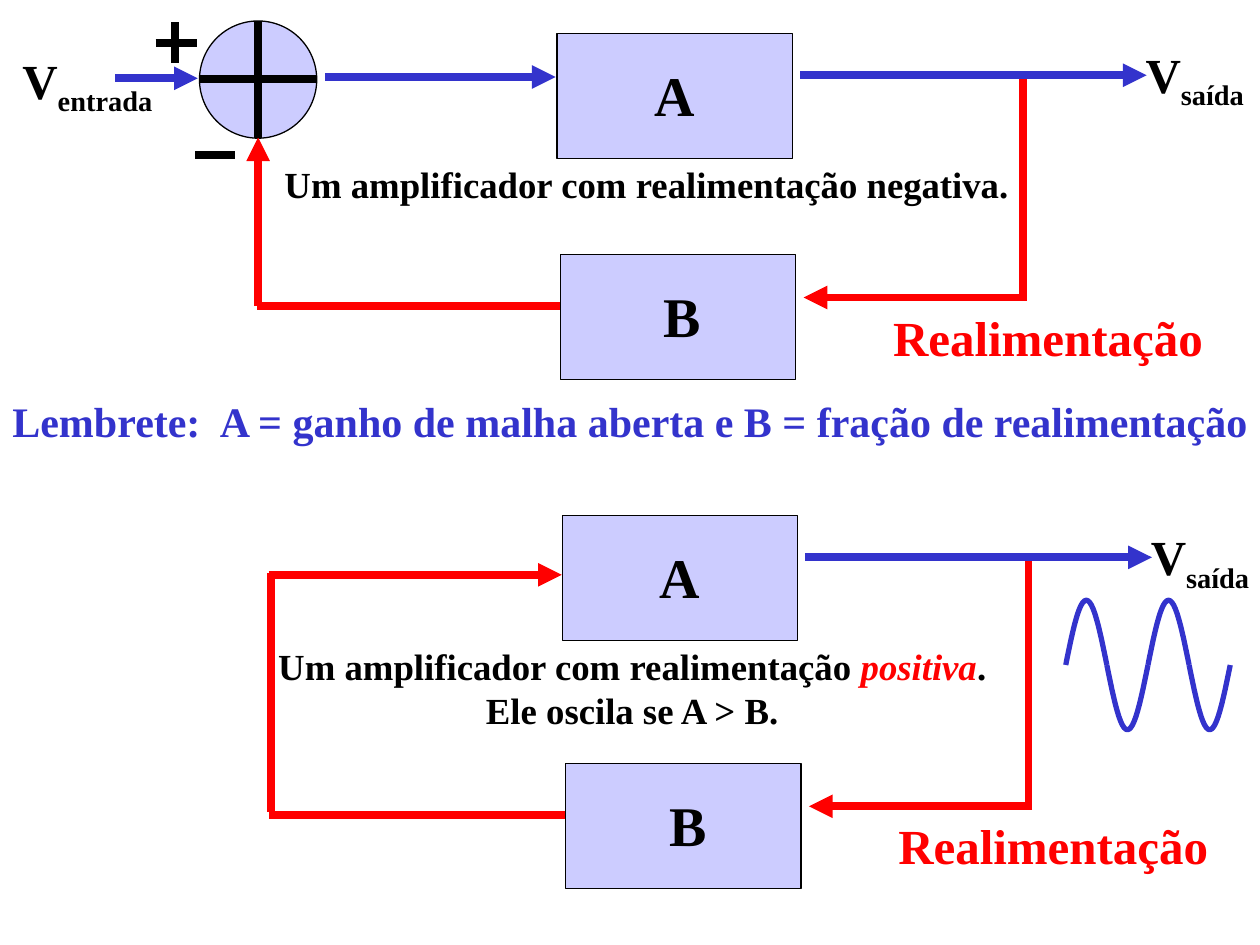
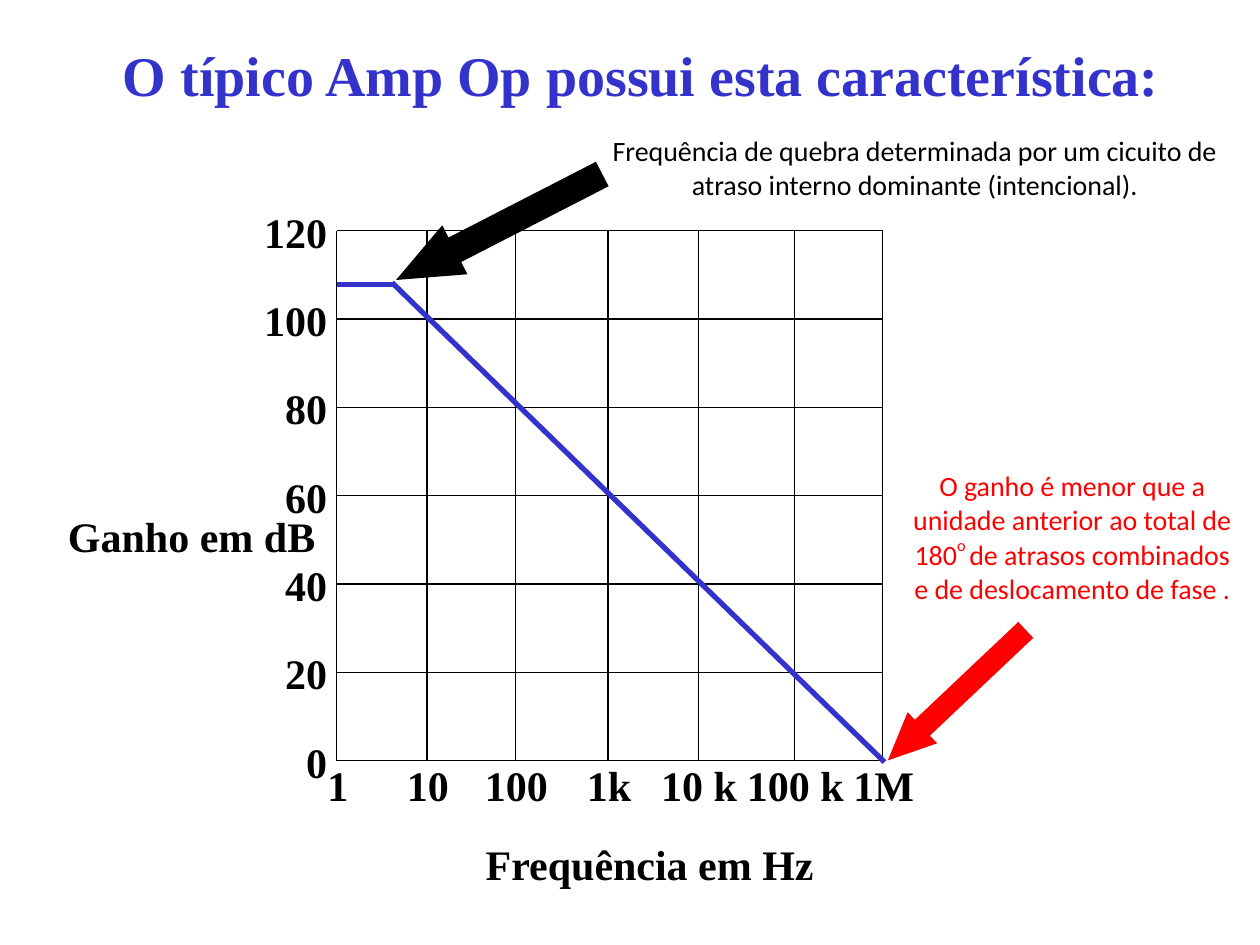
import math

from lxml import etree
from pptx import Presentation
from pptx import util as u
from pptx.dml import color as dml
from pptx.enum import shapes, text
from pptx.oxml import ns

BLACK, RED, BLUE, LILAC = "000000", "FF0000", "3333CC", "CCCCFF"
SERIF, SANS = "Times New Roman", "Calibri"
LEFT, CENTER, RIGHT = text.PP_ALIGN.LEFT, text.PP_ALIGN.CENTER, text.PP_ALIGN.RIGHT
THICK = 4.5
BLOCK_W, BLOCK_H = 134.5, 71.5


def rgb(value):
    return dml.RGBColor.from_string(value)


def write(tf, paragraphs, size=24, color=BLACK, font=SERIF, bold=True,
          align=LEFT, wrap=False, tab=None):
    """Fill a frame; each paragraph lists strings or (string, overrides) pairs."""
    if isinstance(paragraphs, str):
        paragraphs = [[paragraphs]]
    tf.word_wrap = wrap
    tf.vertical_anchor = text.MSO_ANCHOR.TOP
    for i, runs in enumerate(paragraphs):
        p = tf.paragraphs[0] if i == 0 else tf.add_paragraph()
        p.alignment = align
        if tab:
            stops = etree.SubElement(p._p.get_or_add_pPr(), ns.qn("a:tabLst"))
            etree.SubElement(stops, ns.qn("a:tab"), pos=str(u.Pt(tab)), algn="l")
        for run in runs:
            content, extra = (run, {}) if isinstance(run, str) else run
            r = p.add_run()
            r.text = content
            r.font.name, r.font.size, r.font.bold = font, u.Pt(size), bold
            r.font.italic = extra.get("italic", False)
            r.font.color.rgb = rgb(extra.get("color", color))
            if "baseline" in extra:
                r._r.get_or_add_rPr().set("baseline", str(extra["baseline"] * 1000))


def label(s, x, y, w, h, paragraphs, **fmt):
    sp = s.shapes.add_textbox(u.Pt(x), u.Pt(y), u.Pt(w), u.Pt(h))
    write(sp.text_frame, paragraphs, **fmt)
    sp.text_frame.auto_size = text.MSO_AUTO_SIZE.SHAPE_TO_FIT_TEXT


def line(s, x1, y1, x2, y2, color=BLACK, width=THICK, arrow=False):
    c = s.shapes.add_connector(shapes.MSO_CONNECTOR.STRAIGHT,
                               u.Pt(x1), u.Pt(y1), u.Pt(x2), u.Pt(y2))
    c.line.color.rgb = rgb(color)
    c.line.width = u.Pt(width)
    if arrow:
        etree.SubElement(c.line._get_or_add_ln(), ns.qn("a:tailEnd"), type="triangle")
    etree.SubElement(c._element.spPr, ns.qn("a:effectLst"))


def shape(s, kind, x, y, w, h, fill, outline=None):
    sp = s.shapes.add_shape(kind, u.Pt(x), u.Pt(y), u.Pt(w), u.Pt(h))
    sp.shadow.inherit = False
    sp.fill.solid()
    sp.fill.fore_color.rgb = rgb(fill)
    if outline:
        sp.line.color.rgb = rgb(outline)
        sp.line.width = u.Pt(0.75)
    else:
        sp.line.fill.background()
    return sp


def block(s, x, y, name, name_x, name_w):
    shape(s, shapes.MSO_SHAPE.RECTANGLE, x, y, BLOCK_W, BLOCK_H, LILAC, BLACK)
    label(s, x + name_x, y + 12, name_w, 46, name, size=32)


def block_arrow(s, x, y, w, h, rotation, adjustments, fill):
    sp = shape(s, shapes.MSO_SHAPE.LEFT_ARROW, x, y, w, h, fill)
    sp.rotation = rotation
    for i, value in enumerate(adjustments):
        sp.adjustments[i] = value


def voltage(s, x, y, w, subscript):
    label(s, x, y, w, 45.5, [["V", (subscript, {"baseline": -25})]], size=28)


def feedback_loop(s, x, a_top, b_top):
    """Gain block A, feedback block B, the output and the path from output to B."""
    tap, out_y, back_y = x + 266.5, a_top + 24, b_top + 24.5
    line(s, tap, back_y + 2, tap, out_y, RED)
    block(s, x, a_top, "A", 48.5, 37.5)
    block(s, x + 2, b_top, "B", 52, 35.5)
    line(s, x + 139, out_y, x + 337, out_y, BLUE, arrow=True)
    line(s, tap + 2, back_y, x + 141, back_y, RED, arrow=True)
    voltage(s, x + 329.25, a_top + 3, 70.5, "saída")
    label(s, x + 185, b_top + 26.5, 191.5, 41, "Realimentação", size=28, color=RED)


def half_wave(s, x, y, width, height, steps=24):
    """Half a sine from (x, y); a negative height points down."""
    points = [(u.Pt(x + width * i / steps),
               u.Pt(y - height * math.sin(math.pi * i / steps)))
              for i in range(steps + 1)]
    builder = s.shapes.build_freeform(*points[0])
    builder.add_line_segments(points[1:], close=False)
    sp = builder.convert_to_shape()
    sp.shadow.inherit = False
    sp.fill.background()
    sp.line.color.rgb = rgb(BLUE)
    sp.line.width = u.Pt(3)


def feedback_slide(prs):
    s = prs.slides.add_slide(prs.slide_layouts[6])

    # Negative feedback, with a summing point at the input
    shape(s, shapes.MSO_SHAPE.OVAL, 114, 12, 67, 67, LILAC, BLACK)
    voltage(s, 5.75, 25.25, 88.5, "entrada")
    line(s, 66, 44.75, 113, 44.75, BLUE, arrow=True)
    line(s, 186, 44, 317.5, 44, BLUE, arrow=True)
    feedback_loop(s, 318.25, 19, 145.5)
    line(s, 320, 175, 147, 175, RED)
    line(s, 147.5, 175, 147.5, 78.5, RED, arrow=True)
    line(s, 111.5, 88.75, 134.5, 88.75)
    line(s, 89, 24.75, 112.5, 24.75)
    line(s, 100, 36, 100, 12.5)
    line(s, 147.5, 79, 147.5, 12)
    line(s, 181, 45, 114, 45)
    label(s, 155.5, 89, 429, 32.5, "Um amplificador com realimentação negativa.", size=21)
    label(s, 0, 222.5, 723.5, 36,
          "Lembrete:\tA = ganho de malha aberta e B = fração de realimentação",
          color=BLUE, tab=118.5)

    # Positive feedback: an oscillator
    feedback_loop(s, 321.25, 294.5, 436.25)
    line(s, 323, 465.5, 153.5, 465.5, RED)
    line(s, 155, 464, 155, 327.5, RED)
    line(s, 153.5, 328.5, 321, 328.5, RED, arrow=True)
    label(s, 151.25, 364.5, 420, 57.5,
          [["Um amplificador com realimentação ",
            ("positiva", {"color": RED, "italic": True}), "."],
           ["Ele oscila se A > B."]], size=21, align=CENTER)
    for i in range(4):
        half_wave(s, 609 + 23.5 * i, 380, 23.5, 37 * (-1) ** i)


def frequency_slide(prs):
    s = prs.slides.add_slide(prs.slide_layouts[5])
    title = s.shapes.title
    title.left, title.top, title.width, title.height = map(u.Pt, (63, 19.5, 608.5, 46))
    write(title.text_frame, "O típico Amp Op possui esta característica:",
          size=32, color=BLUE)
    title.text_frame.auto_size = text.MSO_AUTO_SIZE.NONE

    # Grid: left, right, top, bottom, with one tick per decade and per 20 dB
    left, right, top, bottom = 192.5, 504.5, 131.75, 434.75
    gains = range(120, -1, -20)
    decades = [(left, "1", 26), (244, "10", 39), (294.5, "100", 51), (347.5, "1k", 40),
               (399, "10 k", 58), (454, "100 k", 70), (right, "1M", 49)]
    step = (bottom - top) / (len(gains) - 1)
    for i, gain in enumerate(gains):
        y = top + i * step
        line(s, left, y, right, y, width=0.75)
        w = 15 + 12 * len(str(gain))
        label(s, 194 - w, y - 17.5, w, 36, str(gain), align=RIGHT)
    for x, name, w in decades:
        line(s, x, top, x, bottom, width=0.75)
        label(s, x + 0.5 - w / 2, 430.5, w, 36, name, align=CENTER)
    label(s, 270.5, 475.75, 202.5, 36, "Frequência em Hz")
    label(s, 31.75, 288, 155.5, 36, "Ganho em dB")

    # Open-loop gain
    line(s, 505.5, 435.5, 224, 161.5, BLUE, 3)
    line(s, 224.5, 162.5, left, 162.5, BLUE, 3)

    note = dict(size=16, font=SANS, bold=False, align=CENTER, wrap=True)
    block_arrow(s, 219, 114, 132.5, 31.5, 332.8, (0.5, 1.2), BLACK)
    label(s, 327, 72.75, 391.5, 65,
          "Frequência de quebra determinada por um cicuito de "
          "atraso interno dominante (intencional).", **note)
    block_arrow(s, 492.5, 385, 108.5, 24.5, 316.6, (0.51, 1.11), RED)
    label(s, 511.25, 264.25, 203, 85.5,
          [["O ganho é menor que a unidade anterior ao total de 180",
            ("o ", {"baseline": 50}),
            "de atrasos combinados e de deslocamento de fase ."]], color=RED, **note)


def main():
    prs = Presentation()
    prs.slide_width, prs.slide_height = u.Pt(720), u.Pt(540)
    feedback_slide(prs)
    frequency_slide(prs)
    prs.save("out.pptx")


if __name__ == "__main__":
    main()
